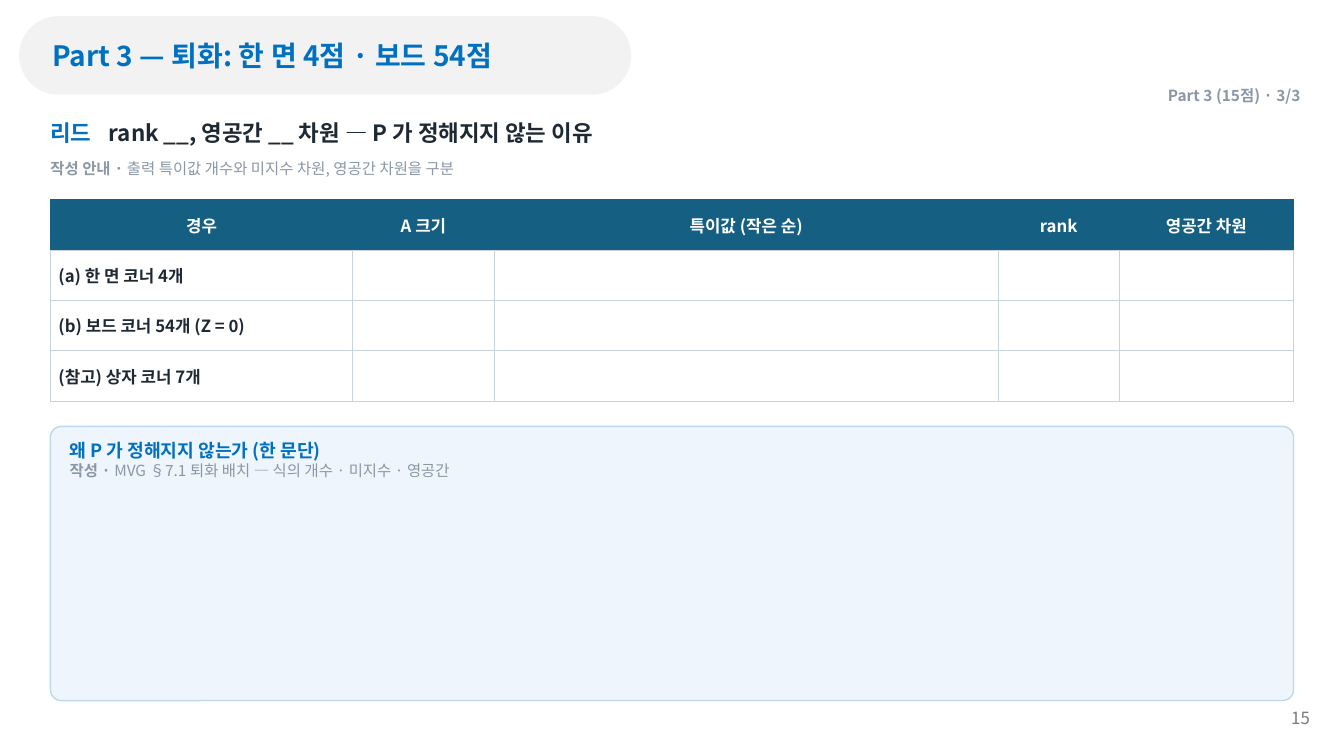
from lxml.etree import SubElement
from pptx import Presentation
from pptx.dml.color import RGBColor
from pptx.enum.shapes import MSO_SHAPE
from pptx.enum.text import MSO_ANCHOR, MSO_AUTO_SIZE, PP_ALIGN
from pptx.oxml.ns import qn
from pptx.util import Emu, Pt

PX = 9144
THEME = {
    "font": "Noto Sans CJK KR",
    "blue": "0070C0", "ink": "1F2933", "muted": "8A97A5", "number": "797979",
    "white": "FFFFFF", "pill": "F2F2F2", "header": "156082", "grid": "C9D3DD",
    "panel": "EEF5FC", "panel_line": "BFD7EE",
    "title": 20, "lead": 16, "panel_head": 13, "cell": 12, "note": 11,
}
LEFT, WIDTH = 50, 1233


def px(*values):
    return [Emu(v * PX) for v in values]


def write(tf, paragraphs, margins=(0, 0, 0, 0), align=PP_ALIGN.LEFT, anchor=MSO_ANCHOR.MIDDLE):
    tf.margin_left, tf.margin_top, tf.margin_right, tf.margin_bottom = px(*margins)
    tf.vertical_anchor = anchor
    tf.word_wrap = True
    tf.auto_size = MSO_AUTO_SIZE.NONE
    for i, runs in enumerate(paragraphs):
        p = tf.add_paragraph() if i else tf.paragraphs[0]
        p.alignment = align
        for text, size, color, bold in runs:
            r = p.add_run()
            r.text = text
            r.font.size = Pt(THEME[size])
            r.font.bold = bold
            r.font.color.rgb = RGBColor.from_string(THEME[color])
            r.font.name = THEME["font"]
            SubElement(r.font._element, qn("a:ea"), typeface=THEME["font"])


prs = Presentation()
prs.slide_width, prs.slide_height = px(1333, 750)
s = prs.slides.add_slide(prs.slide_layouts[5])

pill_box = px(19, 16, 607, 78)
pill = s.shapes.add_shape(MSO_SHAPE.ROUNDED_RECTANGLE, *pill_box)
pill.adjustments[0] = 0.5
pill.shadow.inherit = False
pill.fill.solid()
pill.fill.fore_color.rgb = RGBColor.from_string(THEME["pill"])
pill.line.fill.background()
s.shapes._spTree.insert(2, pill._element)

title = s.shapes.title
title.left, title.top, title.width, title.height = pill_box
write(title.text_frame, [[("Part 3 — 퇴화: 한 면 4점 · 보드 54점", "title", "blue", True)]],
      margins=(33, 5, 10, 5))

labels = [
    ((1264, 692, 45, 40), PP_ALIGN.RIGHT, (10, 5, 10, 5),
     [("15", "cell", "number", False)]),
    ((945, 80, 345, 30), PP_ALIGN.RIGHT, (0, 0, 0, 0),
     [("Part 3 (15점) · 3/3", "note", "muted", True)]),
    ((LEFT, 110, WIDTH, 42), PP_ALIGN.LEFT, (0, 0, 0, 0),
     [("리드\t", "lead", "blue", True),
      ("rank __, 영공간 __ 차원 — P 가 정해지지 않는 이유", "lead", "ink", True)]),
    ((LEFT, 150, WIDTH, 34), PP_ALIGN.LEFT, (0, 0, 0, 0),
     [("작성 안내 · ", "note", "muted", True),
      ("출력 특이값 개수와 미지수 차원, 영공간 차원을 구분", "note", "muted", False)]),
]
for box, align, margins, runs in labels:
    tf = s.shapes.add_textbox(*px(*box)).text_frame
    if "\t" in runs[0][0]:
        tabs = SubElement(tf.paragraphs[0]._p.get_or_add_pPr(), qn("a:tabLst"))
        SubElement(tabs, qn("a:tab"), pos=str(58 * PX), algn="l")
    write(tf, [runs], margins, align)

columns = [("경우", 300), ("A 크기", 140), ("특이값 (작은 순)", 500), ("rank", 120), ("영공간 차원", 173)]
cases = ["(a) 한 면 코너 4개", "(b) 보드 코너 54개 (Z = 0)", "(참고) 상자 코너 7개"]
rows = [[name for name, _ in columns]] + [[case] + [""] * 4 for case in cases]
table = s.shapes.add_table(len(rows), len(columns), *px(LEFT, 198, WIDTH, 200)).table
table.first_row = table.horz_banding = False
for column, (_, width) in zip(table.columns, columns):
    column.width = Emu(width * PX)
for i, row in enumerate(rows):
    fill, border, ink, align = (("white", "grid", "ink", PP_ALIGN.LEFT) if i
                                else ("header", "header", "white", PP_ALIGN.CENTER))
    for j, text in enumerate(row):
        cell = table.cell(i, j)
        tcPr = cell._tc.get_or_add_tcPr()
        for side in ("lnL", "lnR", "lnT", "lnB"):
            ln = SubElement(tcPr, qn(f"a:{side}"), w=str(Pt(0.75)))
            SubElement(SubElement(ln, qn("a:solidFill")), qn("a:srgbClr"), val=THEME[border])
        cell.fill.solid()
        cell.fill.fore_color.rgb = RGBColor.from_string(THEME[fill])
        if text:
            cell.margin_left, cell.margin_top, cell.margin_right, cell.margin_bottom = px(8, 3, 8, 3)
            cell.vertical_anchor = MSO_ANCHOR.MIDDLE
            write(cell.text_frame, [[(text, "cell", ink, True)]], (8, 3, 8, 3), align)

panel = s.shapes.add_shape(MSO_SHAPE.ROUNDED_RECTANGLE, *px(LEFT, 423, WIDTH, 272))
panel.adjustments[0] = 0.04
panel.shadow.inherit = False
panel.fill.solid()
panel.fill.fore_color.rgb = RGBColor.from_string(THEME["panel"])
panel.line.color.rgb = RGBColor.from_string(THEME["panel_line"])
panel.line.width = Pt(1)
write(panel.text_frame, [
    [("왜 P 가 정해지지 않는가 (한 문단)", "panel_head", "blue", True)],
    [("작성 · ", "note", "muted", True),
     ("MVG §7.1 퇴화 배치 — 식의 개수 · 미지수 · 영공간", "note", "muted", False)],
], margins=(16, 10, 16, 8), anchor=MSO_ANCHOR.TOP)

prs.save("out.pptx")
